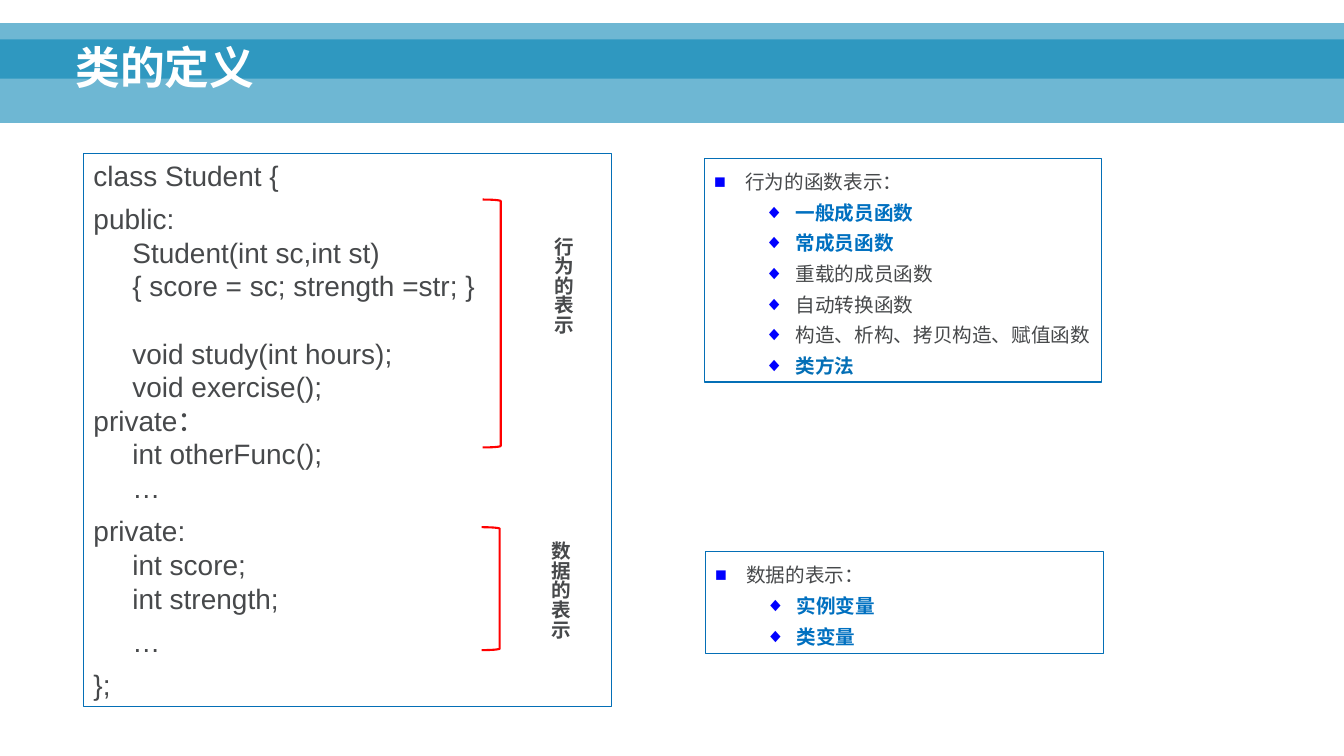
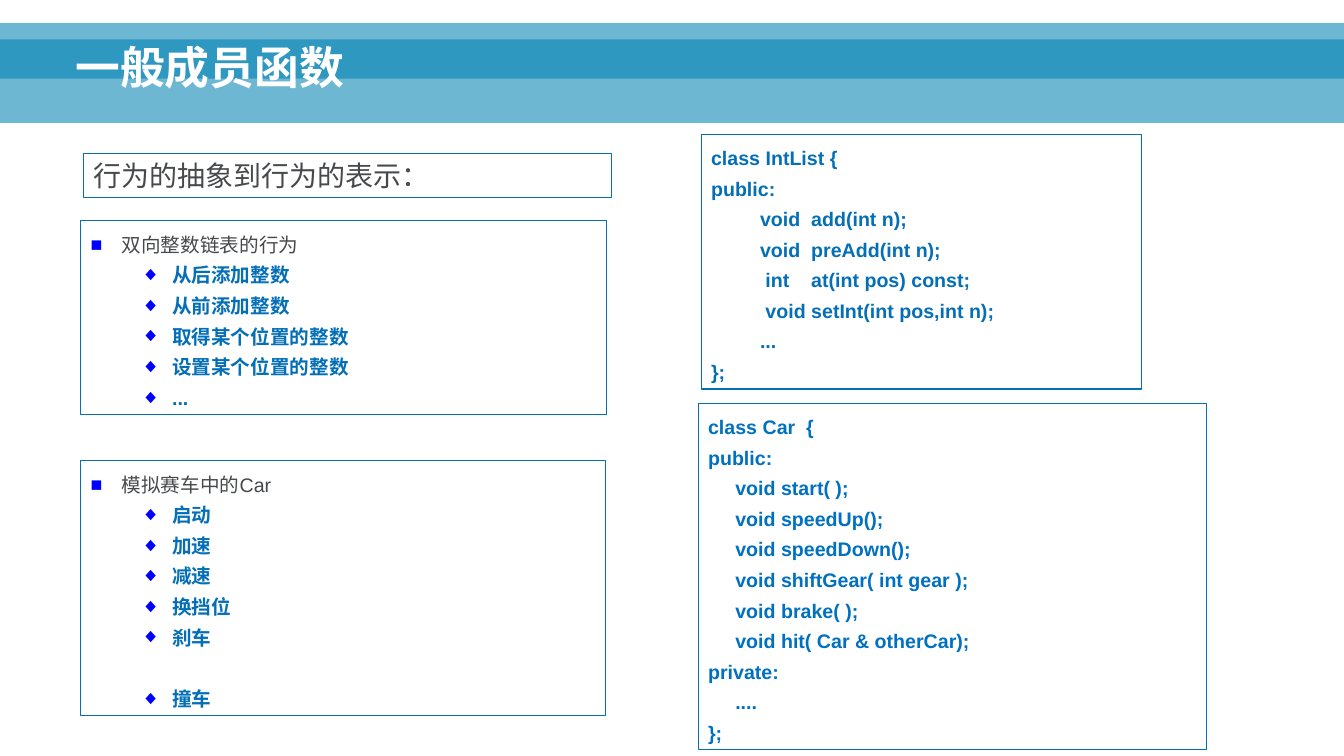
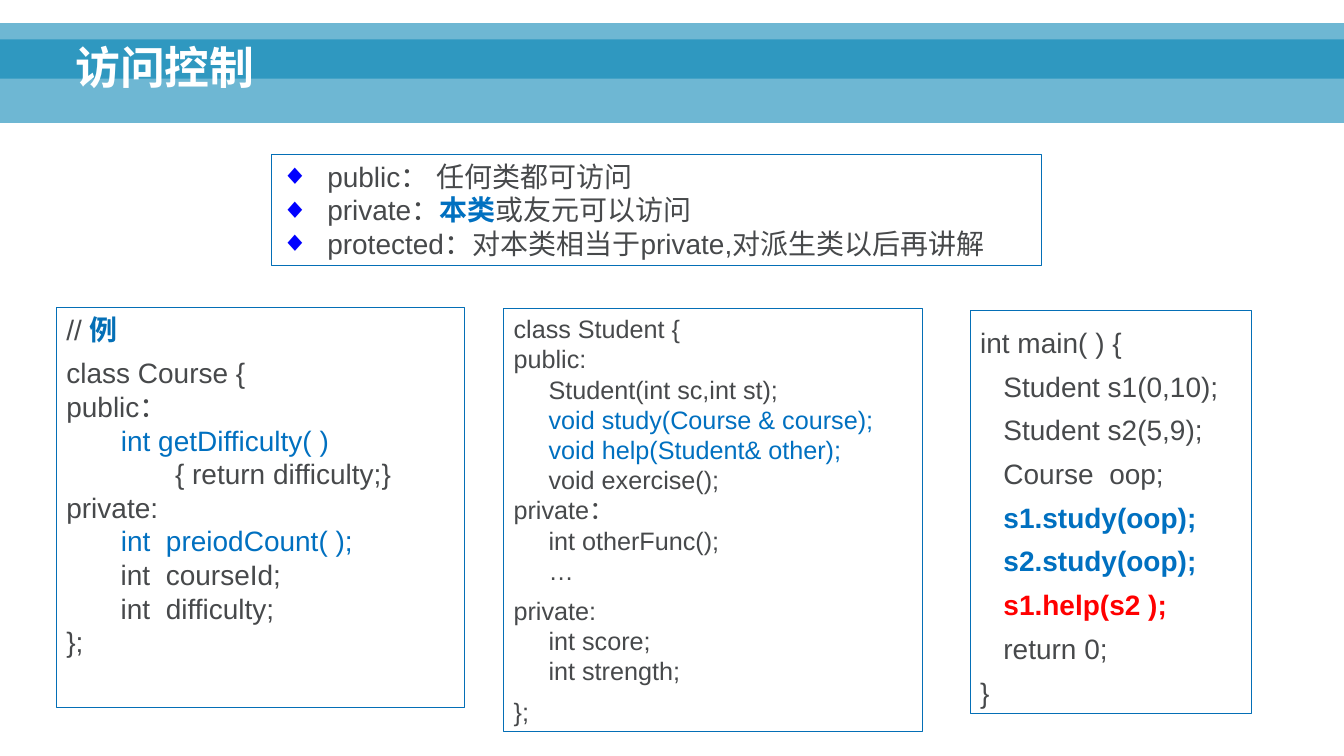
from pptx import Presentation
from pptx.dml.color import RGBColor
from pptx.enum.shapes import MSO_SHAPE
from pptx.enum.text import MSO_ANCHOR
from pptx.oxml.ns import qn
from pptx.util import Inches, Pt
from lxml.etree import SubElement

CELL = 0.1
COLUMNS, ROWS = 133.4, 75
FONT = "Arial"
COLORS = {
    "band": "0082B3",
    "title": "FFFFFF",
    "text": "47494B",
    "frame": "046FB6",
    "link": "0070C0",
    "bullet": "0000FF",
    "alert": "FF0000",
}
PLAIN = {"color": "text", "bold": False}
LINK = {"color": "link"}
KEY = {"color": "link", "bold": True}
FRAME_KEY = {"color": "frame", "bold": True}
GROUP_GAP = 7


def rgb(name):
    """Return a named colour."""
    return RGBColor.from_string(COLORS[name])


def cells(*counts):
    """Turn counts of grid cells into lengths."""
    return [Inches(count * CELL) for count in counts]


def add_span(para, text, size=14, color="text", bold=False):
    """Append one formatted run to a paragraph."""
    span = para.add_run()
    span.text = text
    span.font.name = FONT
    span.font.size = Pt(size)
    span.font.bold = bold
    span.font.color.rgb = rgb(color)
    SubElement(span.font._element, qn("a:ea")).set("typeface", FONT)


def set_bullet(para, mark, left, hang):
    """Give a paragraph a coloured bullet and a hanging indent."""
    properties = para._p.get_or_add_pPr()
    properties.set("marL", str(Inches(left)))
    properties.set("indent", str(-Inches(hang)))
    color = SubElement(properties, qn("a:buClr"))
    SubElement(color, qn("a:srgbClr")).set("val", COLORS["bullet"])
    SubElement(properties, qn("a:buFont")).set("typeface", FONT)
    SubElement(properties, qn("a:buChar")).set("char", mark)


def add_line(box, text, bullet=None, spacing=1, before=0, marked=None, **style):
    """Add a paragraph, restyling the pieces listed in marked."""
    frame = box.text_frame
    first = not frame.paragraphs[0].runs
    para = frame.paragraphs[0] if first else frame.add_paragraph()
    if bullet:
        set_bullet(para, *bullet)
    para.line_spacing = spacing
    para.space_before = Pt(0 if first else before)
    for piece, change in (marked or {}).items():
        if piece in text:
            lead, text = text.split(piece, 1)
            if lead:
                add_span(para, lead, **style)
            add_span(para, piece, **{**style, **change})
    if text:
        add_span(para, text, **style)


def add_outline(page, area, kind=MSO_SHAPE.RECTANGLE, color="frame", width=0.75):
    """Draw an unfilled shape whose text starts at its top left."""
    box = page.shapes.add_shape(kind, *cells(*area))
    box.shadow.inherit = False
    box.fill.background()
    box.line.color.rgb = rgb(color)
    box.line.width = Pt(width)
    box.text_frame.word_wrap = True
    box.text_frame.vertical_anchor = MSO_ANCHOR.TOP
    for para in box.text_frame.paragraphs:
        para.alignment = 1
    return box


def add_code(page, area, *groups, **style):
    """Frame groups of code lines, with a gap between groups."""
    box = add_outline(page, area)
    for group in groups:
        for number, text in enumerate(group.split("\n")):
            para_gap = 0 if number else GROUP_GAP
            add_line(box, text, before=para_gap, **style)
            box.text_frame.paragraphs[-1].alignment = 1
    return box


def add_list(page, area, heading, items, marked=None, item_style=FRAME_KEY):
    """Frame a heading with its bulleted items."""
    box = add_outline(page, area)
    add_line(box, heading, bullet=("■", 0.31, 0.31), spacing=1.3)
    for text in items:
        add_line(box, text, bullet=("◆", 0.81, 0.31), spacing=1.3,
                 marked=marked, **item_style)
    for para in box.text_frame.paragraphs:
        para.alignment = 1
    return box


def add_bracket(page, area, label, label_area):
    """Draw a right bracket and its vertical label."""
    add_outline(page, area, MSO_SHAPE.RIGHT_BRACKET, "alert", 1.5)
    box = page.shapes.add_textbox(*cells(*label_area))
    frame = box.text_frame
    frame.margin_left = frame.margin_right = Inches(0.05)
    frame.margin_top = frame.margin_bottom = Inches(0.1)
    frame.word_wrap = False
    frame._txBody.bodyPr.set("vert", "eaVert")
    add_line(box, label, spacing=1.3, bold=True)


def add_page(deck, title):
    """Add a slide with the two bands and a title."""
    page = deck.slides.add_slide(deck.slide_layouts[6])
    for top, height in ((3.9, 8.3), (2.3, 5.5)):
        band = page.shapes.add_shape(
            MSO_SHAPE.RECTANGLE, *cells(0, top, COLUMNS, height))
        band.shadow.inherit = False
        band.line.fill.background()
        band.fill.solid()
        band.fill.fore_color.rgb = rgb("band")
        color = band.fill._xPr.find(".//" + qn("a:srgbClr"))
        SubElement(color, qn("a:alpha")).set("val", "57000")
    box = page.shapes.add_textbox(*cells(6.5, 1.1, 119.8, 8.7))
    box.text_frame.word_wrap = True
    box.text_frame.vertical_anchor = MSO_ANCHOR.BOTTOM
    add_line(box, title, spacing=0.9, size=32, color="title", bold=True)
    return page


def build_definition(deck):
    """Build the slide on defining a class."""
    page = add_page(deck, "类的定义")
    code = add_code(
        page, (8.3, 15.2, 52.4, 54.9),
        "class Student {",
        """public:
     Student(int sc,int st)
     { score = sc; strength =str; }
     void study(int hours);
     void exercise();
private：
     int otherFunc();
     …""",
        """private:
     int score;
     int strength;""",
        "     …",
        "};",
        size=20)
    code.text_frame.paragraphs[4].space_before = Pt(24)
    add_bracket(page, (47.9, 19.8, 1.8, 24.6), "行为的表示", (53.3, 22.5, 5, 10.8))
    add_bracket(page, (47.8, 52.3, 1.8, 12.2), "数据的表示", (53, 52.7, 5, 10.8))
    plain = ("重载的成员函数", "自动转换函数", "构造、析构、拷贝构造、赋值函数")
    add_list(page, (69.9, 15.7, 39.4, 22.2), "行为的函数表示：",
             ("一般成员函数", "常成员函数", *plain, "类方法"),
             {**dict.fromkeys(plain, PLAIN), "类方法": FRAME_KEY}, KEY)
    add_list(page, (70, 54.7, 39.5, 10.1), "数据的表示：",
             ("实例变量", "类变量"), item_style=KEY)


def build_members(deck):
    """Build the slide on ordinary member functions."""
    page = add_page(deck, "一般成员函数")
    add_code(page, (8.3, 15.2, 52.4, 4.4), "行为的抽象到行为的表示：", size=20)
    add_list(page, (8, 21.9, 52.2, 19.2), "双向整数链表的行为",
             ("从后添加整数", "从前添加整数", "取得某个位置的整数",
              "设置某个位置的整数", "..."))
    actions = add_list(page, (8, 45.7, 52.1, 25.3), "模拟赛车中的Car",
                       ("启动", "加速", "减速", "换挡位", "刹车", "撞车"))
    actions.text_frame.paragraphs[-1].space_before = Pt(22)
    add_code(
        page, (69.6, 13.3, 43.7, 25.3),
        """class IntList {
public:
         void  add(int n);
         void  preAdd(int n);
          int    at(int pos) const;
          void setInt(int pos,int n);
         ...
};""",
        spacing=1.3, **FRAME_KEY)
    add_code(
        page, (69.3, 40, 50.5, 34.4),
        """class Car  {
public:
     void start( );
     void speedUp();
     void speedDown();
     void shiftGear( int gear );
     void brake( );
     void hit( Car & otherCar);
private:
     ....
};""",
        spacing=1.3, **KEY)


def build_access(deck):
    """Build the slide on access control."""
    page = add_page(deck, "访问控制")
    rules = add_outline(page, (26.9, 15.3, 76.5, 11))
    for text in ("public： 任何类都可访问", "private：本类或友元可以访问",
                 "protected：对本类相当于private,对派生类以后再讲解"):
        marked = {"本类": KEY} if text.startswith("private") else None
        add_line(rules, text, bullet=("◆", 0.46, 0.46), marked=marked, size=20)
    for para in rules.text_frame.paragraphs:
        para.alignment = 1
    add_code(
        page, (5.6, 30.5, 40.5, 39.7),
        "// 例",
        """class Course {
public：
       int getDifficulty( )
              { return difficulty;}
private:
       int  preiodCount( );
       int  courseId;
       int  difficulty;
};""",
        size=20,
        marked={"例": FRAME_KEY, "int getDifficulty( )": LINK,
                "int  preiodCount( );": LINK})
    add_code(
        page, (50, 30.6, 41.6, 42),
        """class Student {
public:
     Student(int sc,int st);
     void study(Course & course);
     void help(Student& other);
     void exercise();
private：
     int otherFunc();
     …""",
        """private:
     int score;
     int strength;""",
        "};",
        size=18,
        marked={"void study(Course & course);": LINK,
                "void help(Student& other);": LINK})
    add_code(
        page, (96.3, 30.8, 27.9, 40),
        """int main( ) {
   Student s1(0,10);
   Student s2(5,9);
   Course  oop;
   s1.study(oop);
   s2.study(oop);
   s1.help(s2 );
   return 0;
}""",
        size=20, spacing=1.3,
        marked={"s1.study(oop);": KEY, "s2.study(oop);": KEY,
                "s1.help(s2 );": {"color": "alert", "bold": True}})


def main():
    """Build and save the deck."""
    deck = Presentation()
    deck.slide_width, deck.slide_height = cells(COLUMNS, ROWS)
    for build in (build_definition, build_members, build_access):
        build(deck)
    deck.save("out.pptx")


if __name__ == "__main__":
    main()
